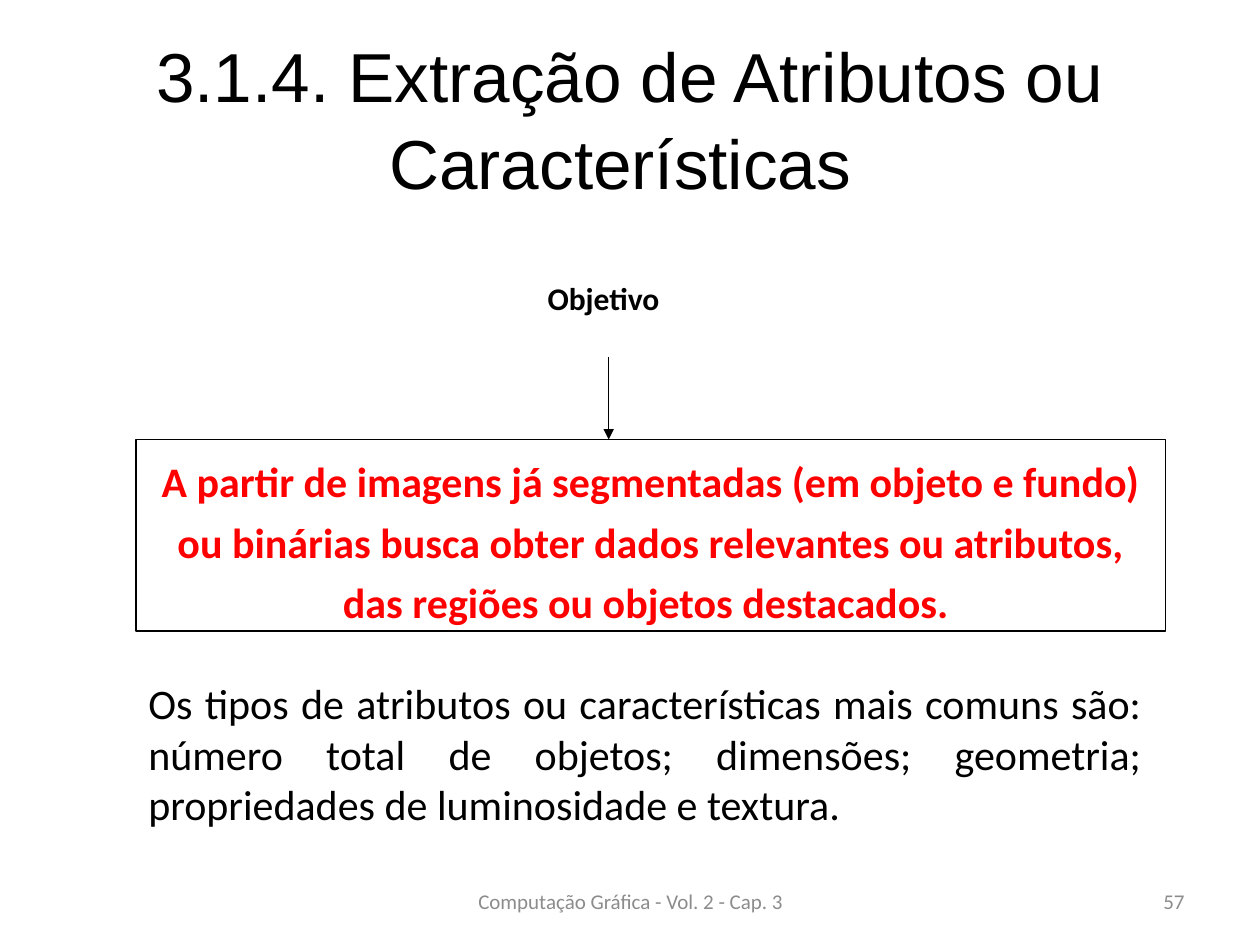
from lxml import etree
from pptx import Presentation
from pptx.dml.color import RGBColor
from pptx.enum import shapes, text
from pptx.oxml import ns
from pptx.util import Cm, Pt

BLACK, RED, GREY = "000000", "FF0000", "8C8C8C"
LEFT, MID, RIGHT, FULL = (text.PP_ALIGN.LEFT, text.PP_ALIGN.CENTER,
                          text.PP_ALIGN.RIGHT, text.PP_ALIGN.JUSTIFY)
TOP, CENTRE = text.MSO_ANCHOR.TOP, text.MSO_ANCHOR.MIDDLE

TITLE = "3.1.4. Extração de Atributos ou Características "
TITLE_AT = (1.27, 0.76, 22.86, 3.18)
GOAL = ("A partir de imagens já segmentadas (em objeto e fundo) ou binárias "
        "busca obter dados relevantes ou atributos, das regiões ou objetos "
        "destacados. ")
GOAL_AT = (2.74, 8.86, 20.75, 3.86)
TYPES = ("Os tipos de atributos ou características mais comuns são: número "
         "total de objetos; dimensões; geometria; propriedades de "
         "luminosidade e textura.")
# words, place in cm, size, colour, bold, alignment, anchor
NOTES = [
    ("Computação Gráfica - Vol. 2 - Cap. 3", (8.69, 17.65, 8.05, 1.02),
     12, GREY, False, MID, CENTRE),
    ("57", (18.21, 17.65, 5.92, 1.02), 12, GREY, False, RIGHT, CENTRE),
    ("Objetivo", (9.09, 5.51, 6.15, 1.45), 18, BLACK, True, MID, TOP),
    (TYPES, (2.74, 13.54, 20.52, 3.3), 24, BLACK, False, FULL, TOP),
]
ARROW_X, ARROW_TOP = 12.27, 7.19


def hue(code):
    return RGBColor.from_string(code)


def place(at):
    return [Cm(n) for n in at]


def write(shape, words, size, code, bold=False, align=MID, anchor=TOP,
          face="Calibri", lines=1.0):
    frame = shape.text_frame
    frame.word_wrap = True
    frame.auto_size = text.MSO_AUTO_SIZE.NONE
    frame.vertical_anchor = anchor
    para = frame.paragraphs[0]
    para.alignment = align
    para.line_spacing = lines
    run = para.add_run()
    run.text = words
    font = run.font
    font.name, font.size, font.bold = face, Pt(size), bold
    font.color.rgb = hue(code)


def outline(shape):
    shape.line.color.rgb = hue(BLACK)
    shape.line.width = Pt(0.75)


deck = Presentation()
deck.slide_width, deck.slide_height = Cm(25.4), Cm(19.05)
slide = deck.slides.add_slide(deck.slide_layouts[5])

title = slide.shapes.title
title.left, title.top, title.width, title.height = place(TITLE_AT)
write(title, TITLE, 39.6, BLACK, anchor=CENTRE, face="Arial", lines=1.04)

goal = slide.shapes.add_shape(shapes.MSO_SHAPE.RECTANGLE, *place(GOAL_AT))
goal.shadow.inherit = False
goal.fill.background()
outline(goal)
write(goal, GOAL, 24, RED, bold=True, lines=1.2)

for words, at, *style in NOTES:
    write(slide.shapes.add_textbox(*place(at)), words, *style)

arrow = slide.shapes.add_connector(
    shapes.MSO_CONNECTOR.STRAIGHT,
    *place((ARROW_X, ARROW_TOP, ARROW_X, GOAL_AT[1])))
outline(arrow)
etree.SubElement(arrow.line._get_or_add_ln(), ns.qn("a:tailEnd"),
                 type="triangle")
etree.SubElement(arrow._element.spPr, ns.qn("a:effectLst"))

deck.save("out.pptx")
